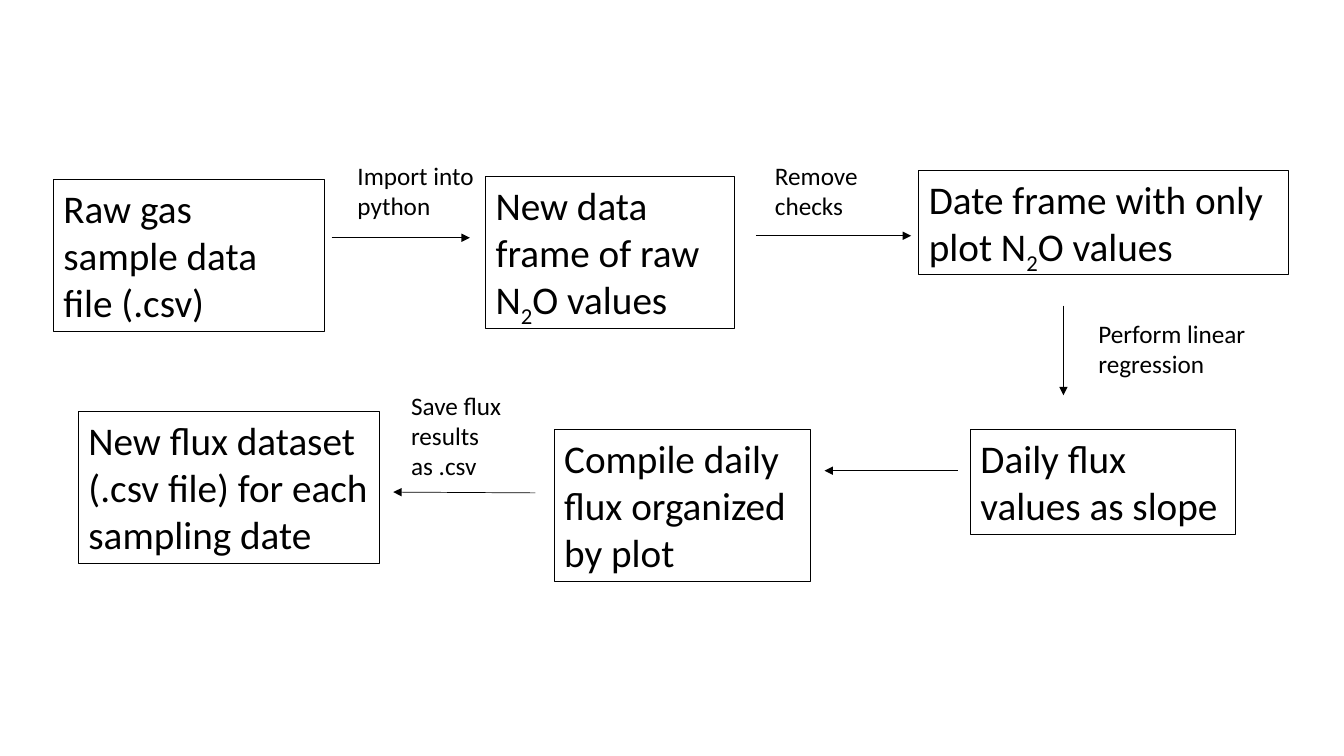
import pptx
import pptx.util
import pptx.dml.color
import pptx.enum.shapes
import pptx.enum.text
import pptx.oxml
import pptx.oxml.ns


def colour(value):
    return pptx.dml.color.RGBColor.from_string(value)


def apply_format(target, values):
    for name, value in values.items():
        setattr(target, name, value)


class FlowChart:
    ink = "000000"
    frame = {"word_wrap": True, "vertical_anchor": pptx.enum.text.MSO_ANCHOR.TOP}
    paragraph = {"alignment": pptx.enum.text.PP_ALIGN.LEFT}
    step_font = {"name": "Calibri", "size": pptx.util.Pt(28)}
    action_font = {"name": "Calibri", "size": pptx.util.Pt(18)}

    def __init__(self, slide):
        self.slide = slide

    def fill_text(self, shape, parts, font):
        apply_format(shape.text_frame, self.frame)
        paragraph = shape.text_frame.paragraphs[0]
        apply_format(paragraph, self.paragraph)
        for index, part in enumerate(parts):
            run = paragraph.add_run()
            run.text = part
            apply_format(run.font, font)
            run.font.color.rgb = colour(self.ink)
            if index % 2:
                run.font._element.set("baseline", "-25000")

    def step(self, left, top, width, height, *parts):
        box = self.slide.shapes.add_shape(
            pptx.enum.shapes.MSO_SHAPE.RECTANGLE,
            *map(pptx.util.Cm, (left, top, width, height)))
        box.shadow.inherit = False
        box.fill.background()
        box.line.color.rgb = colour(self.ink)
        box.line.width = pptx.util.Pt(0.75)
        self.fill_text(box, parts, self.step_font)

    def action(self, left, top, width, height, text):
        label = self.slide.shapes.add_textbox(
            *map(pptx.util.Cm, (left, top, width, height)))
        self.fill_text(label, [text], self.action_font)

    def arrow(self, *ends):
        connector = self.slide.shapes.add_connector(
            pptx.enum.shapes.MSO_CONNECTOR.STRAIGHT, *map(pptx.util.Cm, ends))
        connector.line.color.rgb = colour(self.ink)
        connector.line.width = pptx.util.Pt(0.5)
        namespace = pptx.oxml.ns.nsdecls("a")
        connector.line._get_or_add_ln().append(
            pptx.oxml.parse_xml(f'<a:tailEnd {namespace} type="triangle"/>'))
        connector._element.spPr.append(
            pptx.oxml.parse_xml(f'<a:effectLst {namespace}/>'))


def main():
    deck = pptx.Presentation()
    deck.slide_width, deck.slide_height = pptx.util.Cm(33.87), pptx.util.Cm(19.05)
    chart = FlowChart(deck.slides.add_slide(deck.slide_layouts[6]))

    two_lines, three_lines = 2.64, 3.84
    steps = [
        (1.35, 4.52, 6.83, three_lines, "Raw gas sample data file (.csv)"),
        (12.24, 4.45, 6.27, three_lines, "New data frame of raw N", "2", "O values"),
        (23.16, 4.29, 9.32, two_lines, "Date frame with only plot N", "2", "O values"),
        (24.46, 10.82, 6.68, two_lines, "Daily flux values as slope"),
        (13.97, 10.82, 6.45, three_lines, "Compile daily flux organized by plot"),
        (1.98, 10.36, 7.59, three_lines,
         "New flux dataset (.csv file) for each sampling date"),
    ]
    arrows = [
        (8.36, 5.99, 11.84, 5.99),
        (19.05, 5.94, 22.96, 5.94),
        (26.8, 7.7, 26.8, 9.96),
        (24.13, 11.86, 20.78, 11.86),
        (13.49, 12.42, 9.91, 12.4),
    ]
    actions = [
        (8.76, 3.91, 4.5, 1.8, "Import into python"),
        (19.28, 3.91, 3.89, 1.8, "Remove checks"),
        (27.43, 7.9, 5.64, 1.8, "Perform linear regression"),
        (10.11, 9.7, 3.66, 2.57, "Save flux results as .csv"),
    ]
    for draw, items in ((chart.step, steps), (chart.arrow, arrows), (chart.action, actions)):
        for item in items:
            draw(*item)

    deck.save("out.pptx")


if __name__ == "__main__":
    main()
